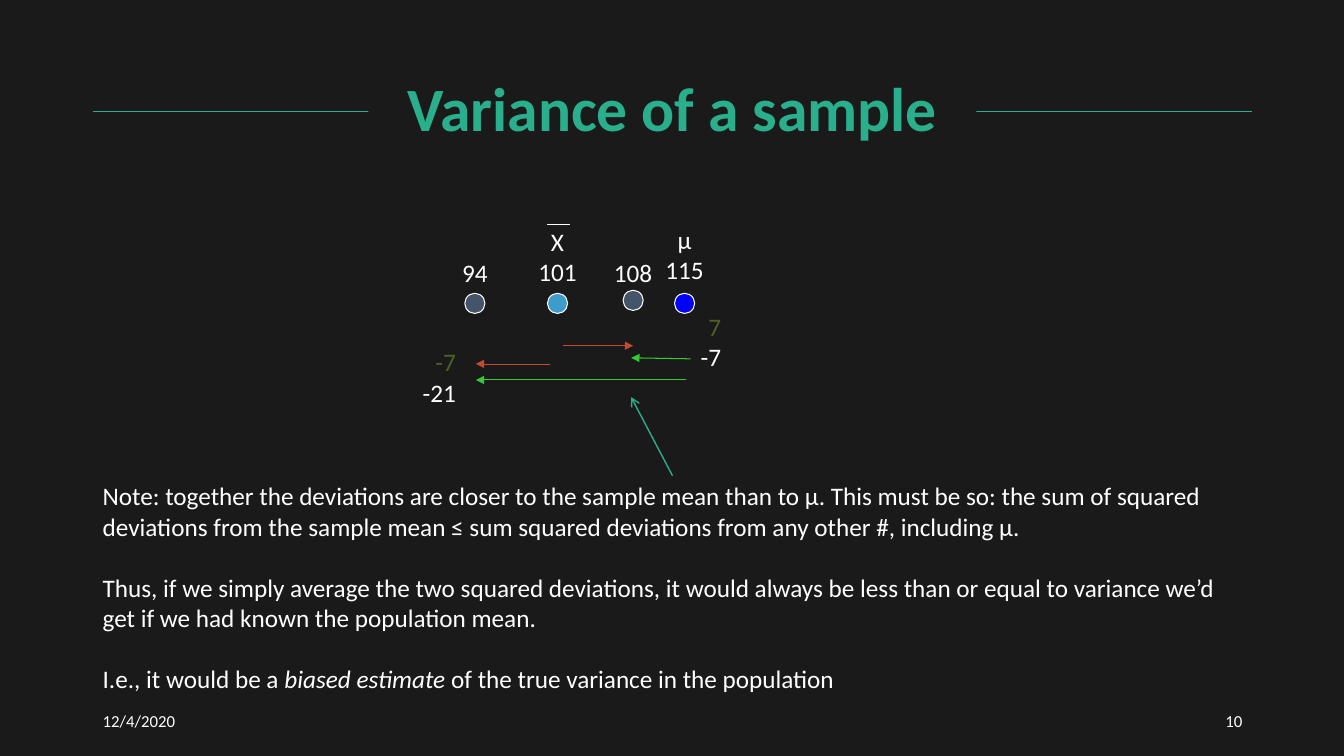
from dataclasses import dataclass

from lxml.etree import SubElement
from pptx import Presentation
from pptx.dml.color import RGBColor
from pptx.enum.shapes import MSO_CONNECTOR as Connector, MSO_SHAPE as Shape
from pptx.enum.text import MSO_ANCHOR as Anchor, PP_ALIGN as Align
from pptx.oxml.ns import qn
from pptx.util import Inches, Pt


@dataclass(frozen=True)
class Theme:
    font: str = "Calibri"
    title_size: int = 44
    body_size: int = 18
    footer_size: int = 12
    paragraph_gap: int = 22
    background: str = "1A1A1A"
    accent: str = "29AF8C"
    text: str = "FFFFFF"
    from_mean: str = "C9492C"
    from_mu: str = "33CC33"
    mean_deviation: str = "4C6123"
    observation: str = "44546A"
    sample_mean: str = "3D9CCC"
    population_mean: str = "0000FF"


THEME = Theme()


@dataclass(frozen=True)
class Box:
    """Area in grid units of a tenth of an inch."""
    left: float
    top: float
    width: float
    height: float

    def inner(self, left, top, width, height):
        return Box(self.left + left, self.top + top, width, height)

    def lengths(self):
        return [units(v) for v in (self.left, self.top, self.width, self.height)]


def units(value):
    return Inches(round(value / 10, 3))


def color(code):
    return RGBColor.from_string(code)


def add_text(slide, box, paragraphs, size=THEME.body_size, align=Align.LEFT,
             anchor=Anchor.TOP, gap=0, bold=False):
    """Each paragraph is a list of (words, color, italic) runs."""
    area = slide.shapes.add_textbox(*box.lengths())
    frame = area.text_frame
    frame.word_wrap = True
    frame.vertical_anchor = anchor
    for index, runs in enumerate(paragraphs):
        paragraph = frame.paragraphs[0] if index == 0 else frame.add_paragraph()
        paragraph.alignment = align
        if index and gap:
            paragraph.space_before = Pt(gap)
        for words, ink, italic in runs:
            run = paragraph.add_run()
            run.text = words
            font = run.font
            font.name, font.size = THEME.font, Pt(size)
            font.bold, font.italic = bold, italic
            font.color.rgb = color(ink)
    return area


def plain(words, ink=THEME.text):
    return [(words, ink, False)]


def add_line(slide, box, start, end, ink, weight, arrowhead=None):
    ends = [units(v) for x, y in (start, end) for v in (box.left + x, box.top + y)]
    line = slide.shapes.add_connector(Connector.STRAIGHT, *ends)
    line.line.color.rgb = color(ink)
    line.line.width = Pt(weight)
    properties = line._element.spPr
    if arrowhead:
        SubElement(properties.find(qn("a:ln")), qn("a:tailEnd"), type=arrowhead)
    SubElement(properties, qn("a:effectLst"))


def add_title(slide, box):
    # Rule running behind the title
    middle = box.height / 2
    add_line(slide, box, (0, middle), (box.width, middle), THEME.accent, 0.5)
    width = 60.3
    title = add_text(slide, box.inner((box.width - width) / 2, 0, width, box.height),
                     [plain("Variance of a sample", THEME.accent)],
                     THEME.title_size, Align.CENTER, Anchor.MIDDLE, bold=True)
    title.text_frame.paragraphs[0].line_spacing = 0.9
    title.fill.solid()
    title.fill.fore_color.rgb = color(THEME.background)


def add_diagram(slide, box):
    dot, label_width, label_height = 2, 6, 7.1

    # Values: label lines, centre x, centre y, label bottom, dot color
    values = [
        (["94"], 8.3, 8.5, 7.4, THEME.observation),
        (["X", "101"], 16.5, 8.5, 7.3, THEME.sample_mean),
        (["108"], 24, 8.2, 7.4, THEME.observation),
        (["μ", "115"], 29.1, 8.5, 7.1, THEME.population_mean),
    ]
    for lines, x, y, bottom, ink in values:
        point = slide.shapes.add_shape(
            Shape.OVAL, *box.inner(x - dot / 2, y - dot / 2, dot, dot).lengths())
        point.shadow.inherit = False
        point.fill.solid()
        point.fill.fore_color.rgb = color(ink)
        point.line.color.rgb = color(THEME.text)
        point.line.width = Pt(0.75)
        label = box.inner(x - label_width / 2, bottom - label_height,
                          label_width, label_height)
        add_text(slide, label, [plain(line) for line in lines],
                 align=Align.CENTER, anchor=Anchor.BOTTOM)

    # Bar over the X of the sample mean
    add_line(slide, box, (15.5, 0.7), (17.7, 0.7), THEME.text, 1)

    # Deviations from the sample mean and from μ
    for start, end, ink, weight in [
        ((17, 12.7), (24, 12.7), THEME.from_mean, 0.5),
        ((15.8, 14.5), (8.4, 14.5), THEME.from_mean, 0.5),
        ((29.2, 16.1), (8.4, 16.1), THEME.from_mu, 0.75),
        ((29.7, 14), (23.8, 13.9), THEME.from_mu, 0.75),
    ]:
        add_line(slide, box, start, end, ink, weight, "triangle")
    for right, top, from_mean, from_mu in [(7.4, 12.3, "-7", "-21"),
                                           (33.7, 8.8, "7", "-7")]:
        add_text(slide, box.inner(right - 7.4, top, 7.4, label_height),
                 [plain(from_mean, THEME.mean_deviation), plain(from_mu)],
                 align=Align.RIGHT)

    # Pointer from the note
    add_line(slide, box, (27.9, 25.6), (23.8, 17.8), THEME.accent, 1, "arrow")


def add_note(slide, box):
    add_text(slide, box, [
        plain("Note: together the deviations are closer to the sample mean than to μ. "
              "This must be so: the sum of squared deviations from the sample mean "
              "≤ sum squared deviations from any other #, including μ."),
        plain("Thus, if we simply average the two squared deviations, it would always "
              "be less than or equal to variance we’d get if we had known the "
              "population mean."),
        [("I.e., it would be a ", THEME.text, False),
         ("biased estimate ", THEME.text, True),
         ("of the true variance in the population", THEME.text, False)],
    ], gap=THEME.paragraph_gap)


def add_footer(slide, box):
    width = 30
    for left, words, align in [(0, "12/4/2020", Align.LEFT),
                               (box.width - width, "10", Align.RIGHT)]:
        add_text(slide, box.inner(left, 0, width, box.height), [plain(words)],
                 THEME.footer_size, align, Anchor.MIDDLE)


def main():
    deck = Presentation()
    deck.slide_width, deck.slide_height = Inches(13.33), Inches(7.5)
    slide = deck.slides.add_slide(deck.slide_layouts[6])
    slide.background.fill.solid()
    slide.background.fill.fore_color.rgb = color(THEME.background)

    margin, content_width = 9.2, 115
    add_title(slide, Box(margin, 4.8, content_width, 12.5))
    add_diagram(slide, Box(38.8, 21.6, 33.7, 25.6))
    add_note(slide, Box(margin, 47.2, content_width, 22.2))
    add_footer(slide, Box(margin, 69.5, content_width, 4))
    deck.save("out.pptx")


if __name__ == "__main__":
    main()
